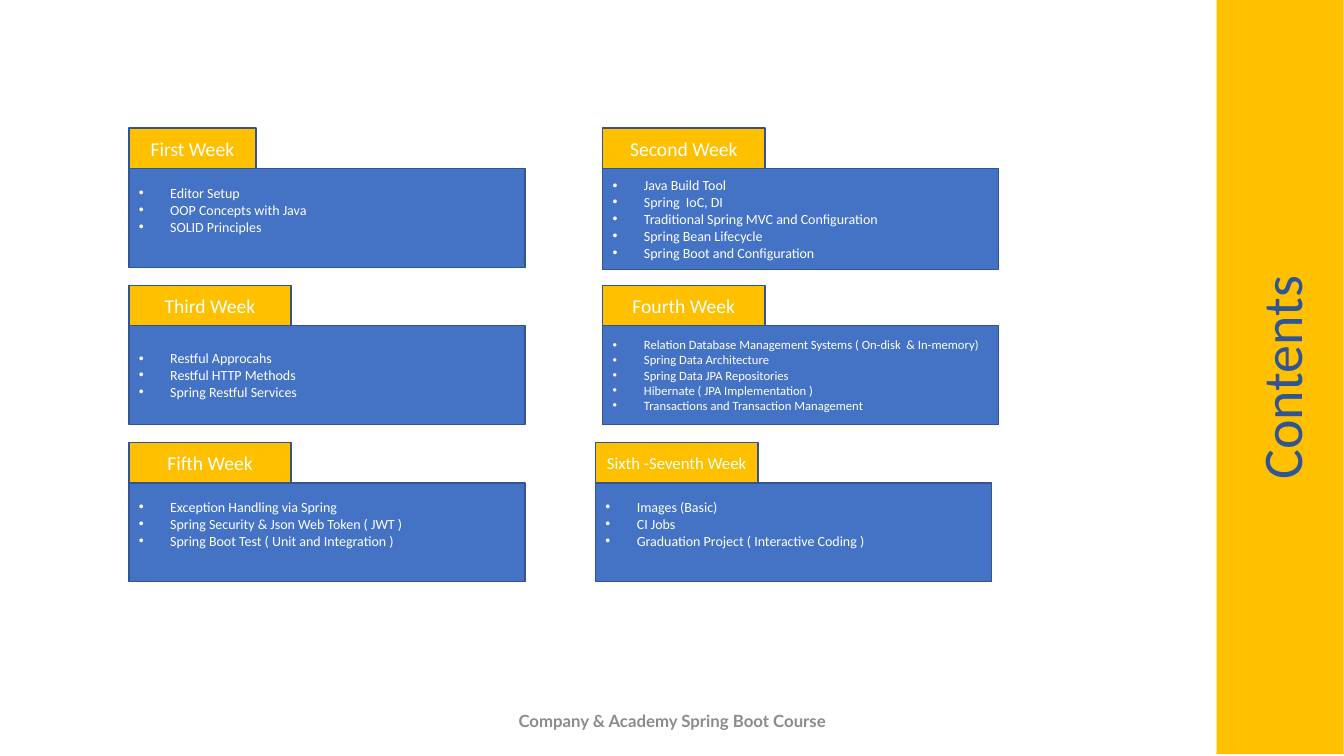
from lxml import etree
from pptx import Presentation
from pptx.dml.color import RGBColor
from pptx.enum.shapes import MSO_SHAPE
from pptx.enum.text import MSO_ANCHOR, MSO_AUTO_SIZE, PP_ALIGN
from pptx.oxml.ns import qn
from pptx.util import Cm, Pt

RECTANGLE = MSO_SHAPE.RECTANGLE
MIDDLE, TOP = MSO_ANCHOR.MIDDLE, MSO_ANCHOR.TOP
LEFT, CENTER = PP_ALIGN.LEFT, PP_ALIGN.CENTER
NO_AUTOFIT = MSO_AUTO_SIZE.NONE

AMBER, BLUE, OUTLINE = "FFC000", "4472C4", "325491"
WHITE, GRAY, TITLE_BLUE = "FFFFFF", "8C8C8C", "2F5597"

COLUMN_LEFTS = (3.25, 15.19)
FIRST_ROW_TOP, ROW_STEP = 3.23, 3.96
TAB_HEIGHT, TAB_WIDTH = 1.02, 4.09
LIST_WIDTH, LIST_HEIGHT = 9.98, 2.49
TOPIC_INDENT = Cm(0.79)

# In reading order, two weeks to a row
WEEKS = [
    {"name": "First Week", "tab_width": 3.2, "bottom_inset": 0.55,
     "topics": ["Editor Setup", "OOP Concepts with Java", "SOLID Principles"]},
    {"name": "Second Week", "list_height": 2.54,
     "topics": ["Java Build Tool", "Spring  IoC, DI",
                "Traditional Spring MVC and Configuration",
                "Spring Bean Lifecycle", "Spring Boot and Configuration"]},
    {"name": "Third Week",
     "topics": ["Restful Approcahs", "Restful HTTP Methods",
                "Spring Restful Services"]},
    {"name": "Fourth Week", "topic_size": 9,
     "topics": ["Relation Database Management Systems ( On-disk  & In-memory)",
                "Spring Data Architecture", "Spring Data JPA Repositories",
                "Hibernate ( JPA Implementation )",
                "Transactions and Transaction Management"]},
    {"name": "Fifth Week", "bottom_inset": 0.55,
     "topics": ["Exception Handling via Spring",
                "Spring Security & Json Web Token ( JWT )",
                "Spring Boot Test ( Unit and Integration )"]},
    {"name": "Sixth -Seventh Week", "name_size": 12, "shift": -0.18,
     "bottom_inset": 0.55,
     "topics": ["Images (Basic)", "CI Jobs",
                "Graduation Project ( Interactive Coding )"]},
]


def color(hex_string):
    return RGBColor.from_string(hex_string)


def add_box(slide, left, top, width, height, fill, outline=None):
    box = slide.shapes.add_shape(
        RECTANGLE, Cm(left), Cm(top), Cm(width), Cm(height))
    box.shadow.inherit = False
    box.fill.solid()
    box.fill.fore_color.rgb = color(fill)
    if outline:
        box.line.color.rgb = color(outline)
        box.line.width = Pt(1)
    else:
        box.line.fill.background()
    return box


def write(frame, text, size, text_color, align, anchor=MIDDLE,
          font="Calibri", bold=False):
    frame.text = text
    frame.vertical_anchor = anchor
    for paragraph in frame.paragraphs:
        paragraph.alignment = align
        for run in paragraph.runs:
            run.font.name = font
            run.font.size = Pt(size)
            run.font.bold = bold
            run.font.color.rgb = color(text_color)


def add_bullet(paragraph):
    properties = paragraph._p.get_or_add_pPr()
    properties.set("marL", str(TOPIC_INDENT))
    properties.set("indent", str(-TOPIC_INDENT))
    etree.SubElement(properties, qn("a:buFont")).set("typeface", "Arial")
    etree.SubElement(properties, qn("a:buChar")).set("char", "•")


def add_week(slide, left, top, week):
    """Add a named tab with its list of topics below."""
    tab = add_box(slide, left, top, week.get("tab_width", TAB_WIDTH),
                  TAB_HEIGHT, AMBER, OUTLINE)
    write(tab.text_frame, week["name"], week.get("name_size", 14),
          WHITE, CENTER)

    topic_box = add_box(slide, left, top + TAB_HEIGHT, LIST_WIDTH,
                        week.get("list_height", LIST_HEIGHT), BLUE, OUTLINE)
    frame = topic_box.text_frame
    write(frame, "\n".join(week["topics"]), week.get("topic_size", 10),
          WHITE, LEFT)
    frame.margin_bottom = Cm(week.get("bottom_inset", 0.13))
    for paragraph in frame.paragraphs:
        add_bullet(paragraph)


def add_footer(slide, text):
    footer = slide.shapes.add_textbox(Cm(11.23), Cm(17.65), Cm(11.43), Cm(1.02))
    footer.text_frame.word_wrap = True
    write(footer.text_frame, text, 12, GRAY, CENTER, font="Lato", bold=True)


def place_title(slide, text):
    """Turn the title upright and bring it in front of the side bar."""
    title = slide.shapes.title
    title.left, title.top = Cm(29.41), Cm(8.51)
    title.width, title.height = Cm(5.69), Cm(1.96)
    title.rotation = 270
    write(title.text_frame, text, 40, TITLE_BLUE, LEFT, TOP)
    title.text_frame.word_wrap = False
    title.text_frame.auto_size = NO_AUTOFIT
    slide.shapes._spTree.append(title._element)


def main():
    presentation = Presentation()
    presentation.slide_width, presentation.slide_height = Cm(33.87), Cm(19.05)
    slide = presentation.slides.add_slide(presentation.slide_layouts[5])

    add_box(slide, 30.66, 0, 3.2, 19, AMBER)
    add_footer(slide, "Company & Academy Spring Boot Course")
    for index, week in enumerate(WEEKS):
        row, column = divmod(index, len(COLUMN_LEFTS))
        add_week(slide, COLUMN_LEFTS[column] + week.get("shift", 0),
                 FIRST_ROW_TOP + row * ROW_STEP, week)
    place_title(slide, "Contents")

    presentation.save("out.pptx")


if __name__ == "__main__":
    main()
